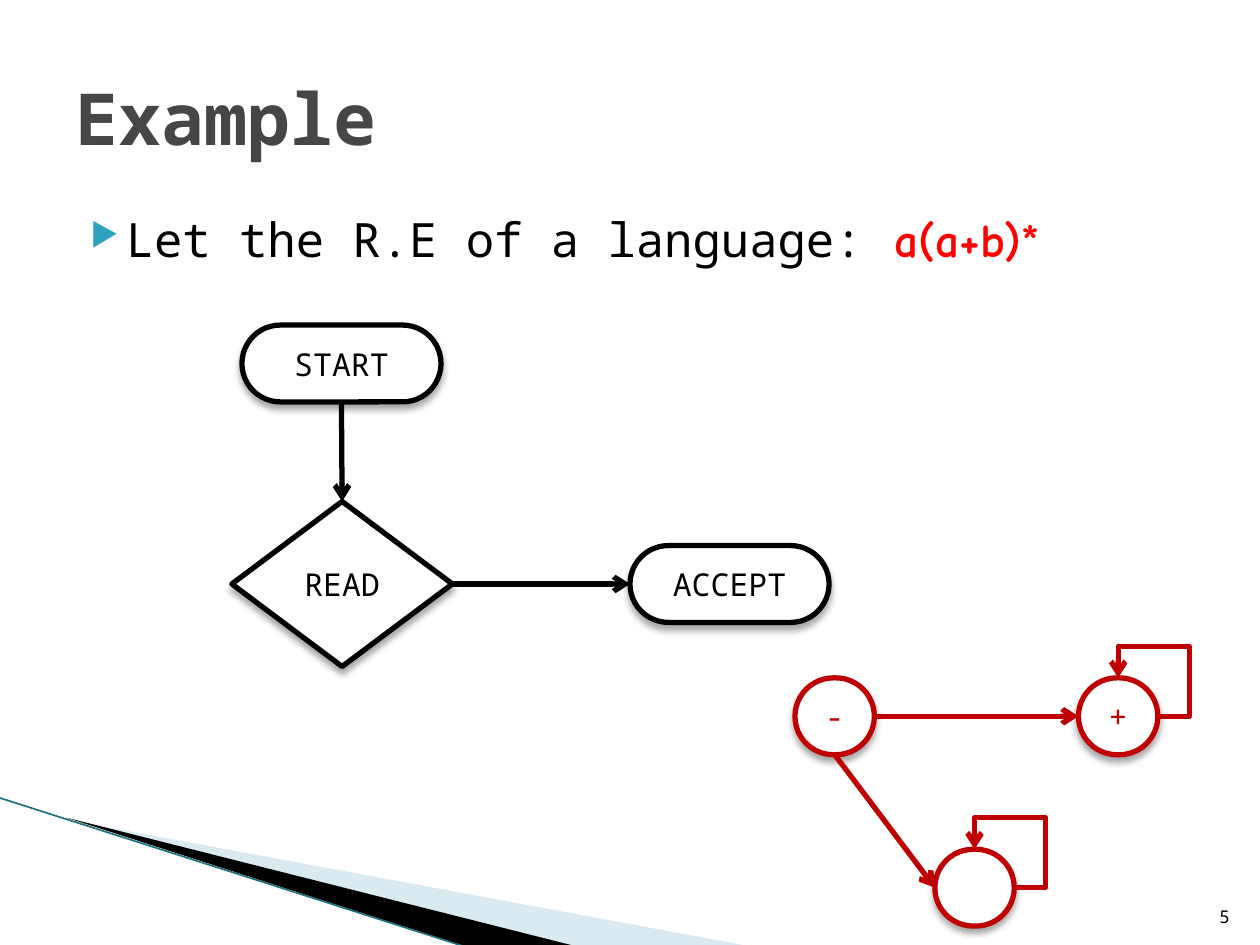
from lxml import etree
from pptx import Presentation
from pptx.dml.color import RGBColor
from pptx.enum.shapes import MSO_CONNECTOR, MSO_SHAPE
from pptx.enum.text import MSO_ANCHOR, PP_ALIGN
from pptx.oxml.ns import qn
from pptx.util import Inches, Pt

PILL, DIAMOND = MSO_SHAPE.ROUNDED_RECTANGLE, MSO_SHAPE.DIAMOND
STRAIGHT, ELBOW = MSO_CONNECTOR.STRAIGHT, MSO_CONNECTOR.ELBOW
LEFT, CENTER, RIGHT = PP_ALIGN.LEFT, PP_ALIGN.CENTER, PP_ALIGN.RIGHT
TOP, MIDDLE, BOTTOM = MSO_ANCHOR.TOP, MSO_ANCHOR.MIDDLE, MSO_ANCHOR.BOTTOM
MONO, COMIC = "Noto Sans Mono", "Comic Neue"
BLACK, RED = "000000", "C00000"
NORTH, WEST, SOUTH, EAST = range(4)  # connection sites

WEDGES = [  # points, colour, opacity in percent
    ([(0.55, 6.51), (5.95, 7.51), (4.56, 7.51)], "A0CBDC", 40),
    ([(0.53, 6.49), (4.57, 7.51), (3.72, 7.52)], BLACK, 100),
]
WIDE, ROUND, RHOMB = (1.58, 0.61), (0.63, 0.61), (1.75, 1.31)
NODES = {  # preset, left, top, size, colour, label
    "start": (PILL, 1.92, 2.58, WIDE, BLACK, "START"),
    "accept": (PILL, 5, 4.33, WIDE, BLACK, "ACCEPT"),
    "read": (DIAMOND, 1.84, 3.98, RHOMB, BLACK, "READ"),
    "minus": (PILL, 6.31, 5.38, ROUND, RED, "-"),
    "plus": (PILL, 8.56, 5.38, ROUND, RED, "+"),
    "dead": (PILL, 7.42, 6.74, ROUND, RED, ""),
}
LINKS = [
    ("start", SOUTH, "read", NORTH, BLACK),
    ("read", EAST, "accept", WEST, BLACK),
    ("minus", EAST, "plus", WEST, RED),
    ("plus", EAST, "plus", NORTH, RED),
    ("minus", SOUTH, "dead", WEST, RED),
    ("dead", EAST, "dead", NORTH, RED),
]


def rgb(code):
    return RGBColor.from_string(code)


def sub(parent, tag, **attrs):
    node = etree.SubElement(parent, qn(tag))
    for key, value in attrs.items():
        node.set(key, str(value))
    return node


def style(font, size, color, name=MONO, bold=False):
    font.size, font.name, font.bold = Pt(size), name, bold
    font.color.rgb = rgb(color)


def add_text(box, anchor, align=LEFT):
    frame = slide.shapes.add_textbox(*map(Inches, box)).text_frame
    frame.word_wrap, frame.vertical_anchor = True, anchor
    para = frame.paragraphs[0]
    para.alignment = align
    return para


def add_wedge(points, color, alpha):
    first, *rest = [(Inches(x), Inches(y)) for x, y in points]
    pen = slide.shapes.build_freeform(*first)
    pen.add_line_segments(rest, close=True)
    shape = pen.convert_to_shape()
    shape.shadow.inherit = False
    shape.line.fill.background()
    shape.fill.solid()
    shape.fill.fore_color.rgb = rgb(color)
    if alpha < 100:
        tint = shape.fill._xPr.find(".//" + qn("a:srgbClr"))
        sub(tint, "a:alpha", val=alpha * 1000)


def add_node(kind, left, top, size, color, label):
    shape = slide.shapes.add_shape(kind, *map(Inches, (left, top, *size)))
    if kind == PILL:
        shape.adjustments[0] = 0.5
    shape.fill.solid()
    shape.fill.fore_color.rgb = rgb("FFFFFF")
    shape.line.color.rgb, shape.line.width = rgb(color), Pt(3)
    shape.shadow.inherit = False
    effects = shape._element.spPr.find(qn("a:effectLst"))
    shade = sub(effects, "a:outerShdw", blurRad=Pt(4), dist=Pt(3),
                dir=90 * 60000, rotWithShape=0)
    sub(sub(shade, "a:srgbClr", val=BLACK), "a:alpha", val=35000)
    if label:
        shape.text_frame.vertical_anchor = MIDDLE
        para = shape.text_frame.paragraphs[0]
        para.text, para.alignment = label, CENTER
        style(para.font, 18, color)
    return shape


def add_link(source, out, target, into, color):
    """Arrow between two sites; a node linked to itself gets a loop."""
    loop = source is target
    link = slide.shapes.add_connector(ELBOW if loop else STRAIGHT, 0, 0, 0, 0)
    link.begin_connect(source, out)
    link.end_connect(target, into)
    link.line.color.rgb, link.line.width = rgb(color), Pt(3)
    props = link._element.spPr
    sub(link.line._get_or_add_ln(), "a:tailEnd", type="arrow")
    sub(props, "a:effectLst")
    if loop:
        shape = props.find(qn("a:prstGeom"))
        shape.set("prst", "bentConnector4")
        for guide in list(shape):
            shape.remove(guide)
        guides = sub(shape, "a:avLst")
        for name, value in ("adj1", -79300), ("adj2", 182100):
            sub(guides, "a:gd", name=name, fmla=f"val {value}")


deck = Presentation()
deck.slide_width, deck.slide_height = Inches(10), Inches(7.5)
slide = deck.slides.add_slide(deck.slide_layouts[6])

for wedge in WEDGES:
    add_wedge(*wedge)
edge = slide.shapes.add_connector(
    STRAIGHT, *map(Inches, (-0.01, 6.33, 3.71, 7.52)))
edge.line.color.rgb, edge.line.width = rgb("1F7080"), Pt(0.95)
sub(edge._element.spPr, "a:effectLst")

body = add_text((0.5, 1.62, 9.17, 0.8), TOP)
props = body._p.get_or_add_pPr()
props.set("marL", str(Inches(0.4)))
props.set("indent", str(Inches(-0.28)))
sub(sub(props, "a:buClr"), "a:srgbClr", val="2DA2BF")
sub(props, "a:buSzPct", val=68000)
sub(props, "a:buChar", char="▶")
for words, look in (
    ("Let the R.E of a language: \t", (27, BLACK)),
    ("a(a+b)*", (27, "FF0000", COMIC, True)),
):
    run = body.add_run()
    run.text = words
    style(run.font, *look)

number = add_text((9.46, 7.01, 0.4, 0.4), BOTTOM, RIGHT)
number.text = "5"
style(number.font, 10, BLACK)
title = add_text((0.5, 0.3, 9, 1.25), MIDDLE)
title.text = "Example"
style(title.font, 41, "464646", bold=True)

nodes = {key: add_node(*node) for key, node in NODES.items()}
for source, out, target, into, color in LINKS:
    add_link(nodes[source], out, nodes[target], into, color)

deck.save("out.pptx")
